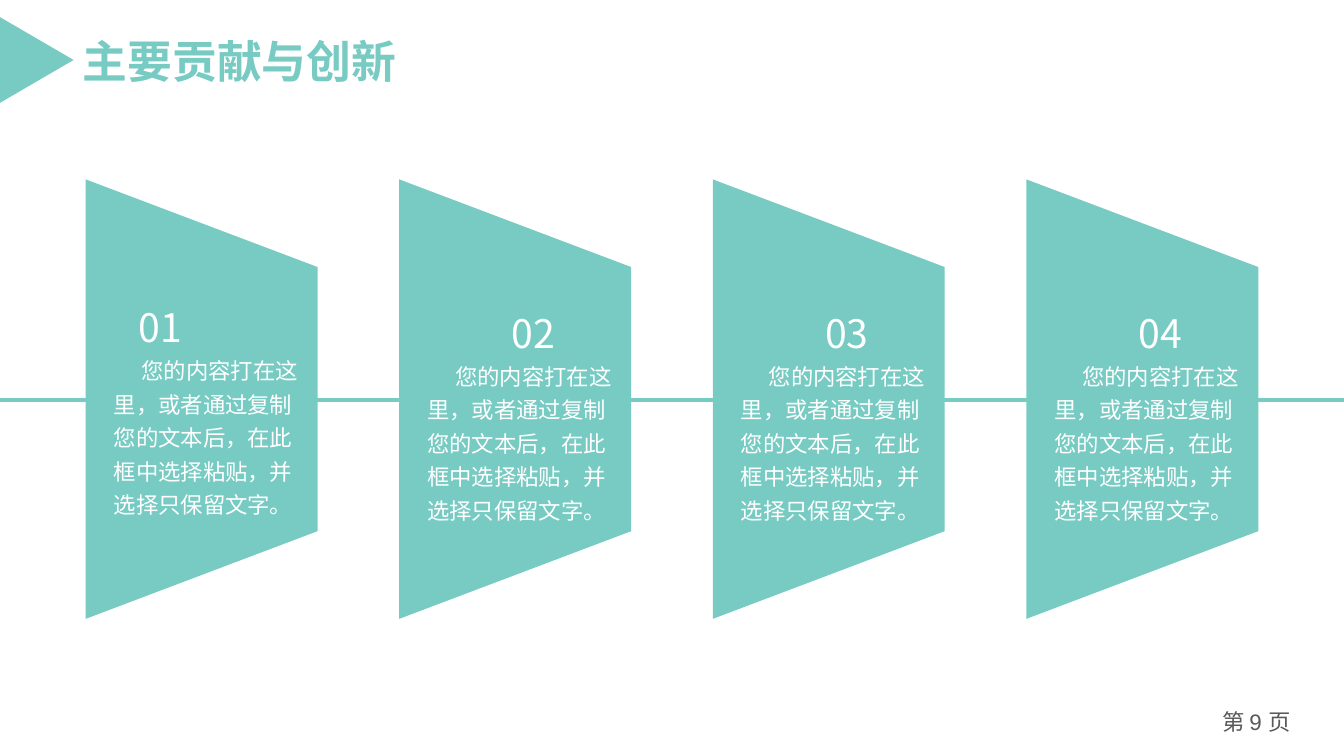
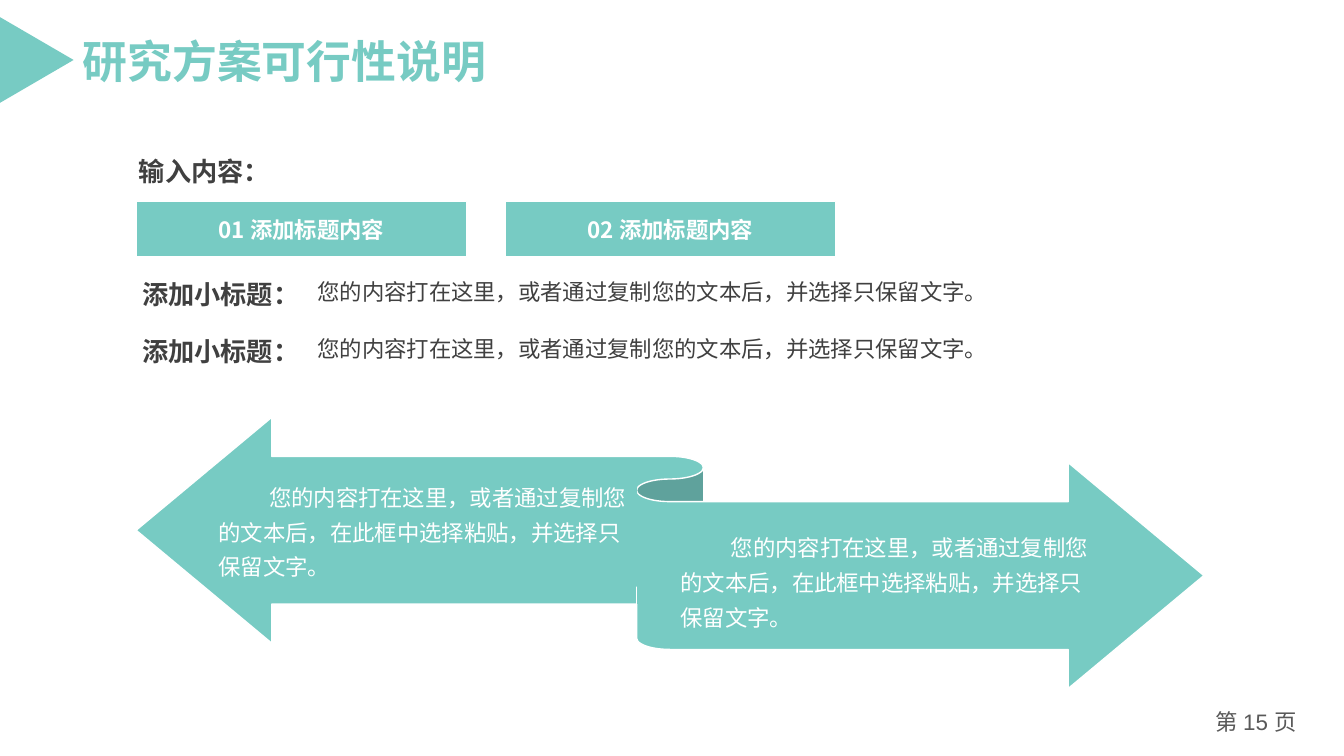
"""Build two thesis slides: contributions in four panels, and a feasibility overview."""
from lxml.etree import SubElement
from pptx import Presentation
from pptx.dml.color import RGBColor
from pptx.enum.lang import MSO_LANGUAGE_ID as Language
from pptx.enum.shapes import MSO_CONNECTOR as Connector, MSO_SHAPE as Shape
from pptx.enum.text import MSO_ANCHOR as Anchor, MSO_AUTO_SIZE as AutoSize, PP_ALIGN as Align
from pptx.oxml.ns import qn
from pptx.util import Inches, Pt

TEAL, WHITE, DARK, GREY = "77CBC3", "FFFFFF", "404040", "595959"
SANS, ARIAL = "Noto Sans CJK SC", "Arial"
BODY = "您的内容打在这里，或者通过复制您的文本后，在此框中选择粘贴，并选择只保留文字。"
SHORT_BODY = "您的内容打在这里，或者通过复制您的文本后，并选择只保留文字。"
WIDE_MARGINS = (0.13, 0.07)


def paint(shape, fill=TEAL, line=None):
    shape.shadow.inherit = False
    shape.fill.solid()
    shape.fill.fore_color.rgb = RGBColor.from_string(fill)
    if line:
        shape.line.color.rgb = RGBColor.from_string(line)
        shape.line.width = Pt(1)
    else:
        shape.line.fill.background()


def write(shape, text, size=16, colour=WHITE, bold=False, latin=SANS, east=SANS,
          align=Align.LEFT, indent=0, spacing=None, anchor=Anchor.TOP,
          wrap=True, margins=(0.1, 0.05)):
    frame = shape.text_frame
    frame.word_wrap = wrap
    frame.auto_size = AutoSize.NONE if wrap else AutoSize.SHAPE_TO_FIT_TEXT
    frame.vertical_anchor = anchor
    frame.margin_left = frame.margin_right = Inches(margins[0])
    frame.margin_top = frame.margin_bottom = Inches(margins[1])
    paragraph = frame.add_paragraph() if frame.text else frame.paragraphs[0]
    paragraph.alignment = align
    if spacing:
        paragraph.line_spacing = spacing
    if indent:
        properties = paragraph._p.get_or_add_pPr()
        properties.set("marL", "0")
        properties.set("indent", str(Inches(indent)))
    run = paragraph.add_run()
    run.text = text
    font = run.font
    font.size, font.bold, font.name = Pt(size), bold, latin
    font.color.rgb = RGBColor.from_string(colour)
    font.language_id = Language.SIMPLIFIED_CHINESE
    SubElement(run._r.get_or_add_rPr(), qn("a:ea")).set("typeface", east)


presentation = Presentation()
presentation.slide_width = Inches(13.33)
presentation.slide_height = Inches(7.5)

slides = []
for title, title_width, page in (("主要贡献与创新", 3.41, 9), ("研究方案可行性说明", 4.31, 15)):
    slide = presentation.slides.add_slide(presentation.slide_layouts[6])
    slides.append(slide)
    marker = slide.shapes.add_shape(
        Shape.ISOSCELES_TRIANGLE, Inches(-0.06), Inches(0.23), Inches(0.85), Inches(0.73))
    marker.rotation = 90
    paint(marker)
    heading = slide.shapes.add_textbox(
        Inches(0.69), Inches(0.26), Inches(title_width), Inches(0.67))
    write(heading, title, size=32, colour=TEAL, bold=True, latin=ARIAL, east=ARIAL,
          wrap=False, margins=WIDE_MARGINS)
    footer = slide.shapes.add_textbox(Inches(11.86), Inches(6.98), Inches(1.2), Inches(0.4))
    write(footer, f"第 {page} 页", colour=GREY, latin=ARIAL, align=Align.CENTER)

contributions, feasibility = slides

axis = contributions.shapes.add_connector(
    Connector.STRAIGHT, 0, Inches(3.97), Inches(13.33), Inches(3.97))
axis.line.color.rgb = RGBColor.from_string(TEAL)
axis.line.width = Pt(3)
SubElement(axis._element.spPr, qn("a:effectLst"))

for index in range(4):
    left = 0.85 + 3.11 * index
    right = left + 2.3
    builder = contributions.shapes.build_freeform(Inches(left), Inches(6.14))
    builder.add_line_segments(
        [(Inches(x), Inches(y)) for x, y in ((left, 1.78), (right, 2.65), (right, 5.27))])
    paint(builder.convert_to_shape())
    first = index == 0
    top = 2.96 if first else 2.9
    panel_text = contributions.shapes.add_textbox(
        Inches(left + 0.1), Inches(top), Inches(2.13), Inches(5.25 - top))
    write(panel_text, f"{index + 1:02}", size=28, indent=0.33,
          align=Align.LEFT if first else Align.CENTER, spacing=None if first else 1.25)
    write(panel_text, BODY, align=Align.CENTER, indent=0.33, spacing=1.25)

prompt = feasibility.shapes.add_textbox(Inches(1.28), Inches(1.49), Inches(1.51), Inches(0.42))
write(prompt, "输入内容：", size=18.7, colour=DARK, bold=True, anchor=Anchor.MIDDLE, wrap=False)

for index in range(2):
    banner = feasibility.shapes.add_shape(
        Shape.RECTANGLE, Inches(1.35 + 3.66 * index), Inches(2), Inches(3.28), Inches(0.55))
    paint(banner, line=WHITE)
    write(banner, f"{index + 1:02} 添加标题内容", bold=True,
          align=Align.CENTER, anchor=Anchor.MIDDLE)

    top = 2.69 + 0.57 * index
    label = feasibility.shapes.add_textbox(Inches(1.28), Inches(top), Inches(1.84), Inches(0.45))
    write(label, "添加小标题：", size=18.7, colour=DARK, bold=True,
          anchor=Anchor.MIDDLE, wrap=False, margins=WIDE_MARGINS)
    detail = feasibility.shapes.add_textbox(
        Inches(3.05), Inches(top + 0.02), Inches(8.13), Inches(0.37))
    write(detail, SHORT_BODY, colour=DARK)

ribbon = feasibility.shapes.add_shape(
    Shape.LEFT_RIGHT_RIBBON, Inches(1.35), Inches(4.14), Inches(10.59), Inches(2.69))
for index, adjustment in enumerate((0.545, 0.5, 0.167)):
    ribbon.adjustments[index] = adjustment
paint(ribbon, line=WHITE)

for left, top in ((2.07, 4.67), (6.65, 5.17)):
    ribbon_text = feasibility.shapes.add_shape(
        Shape.RECTANGLE, Inches(left), Inches(top), Inches(4.25), Inches(1.15))
    paint(ribbon_text)
    write(ribbon_text, BODY, indent=0.5, spacing=1.3)

presentation.save("out.pptx")
